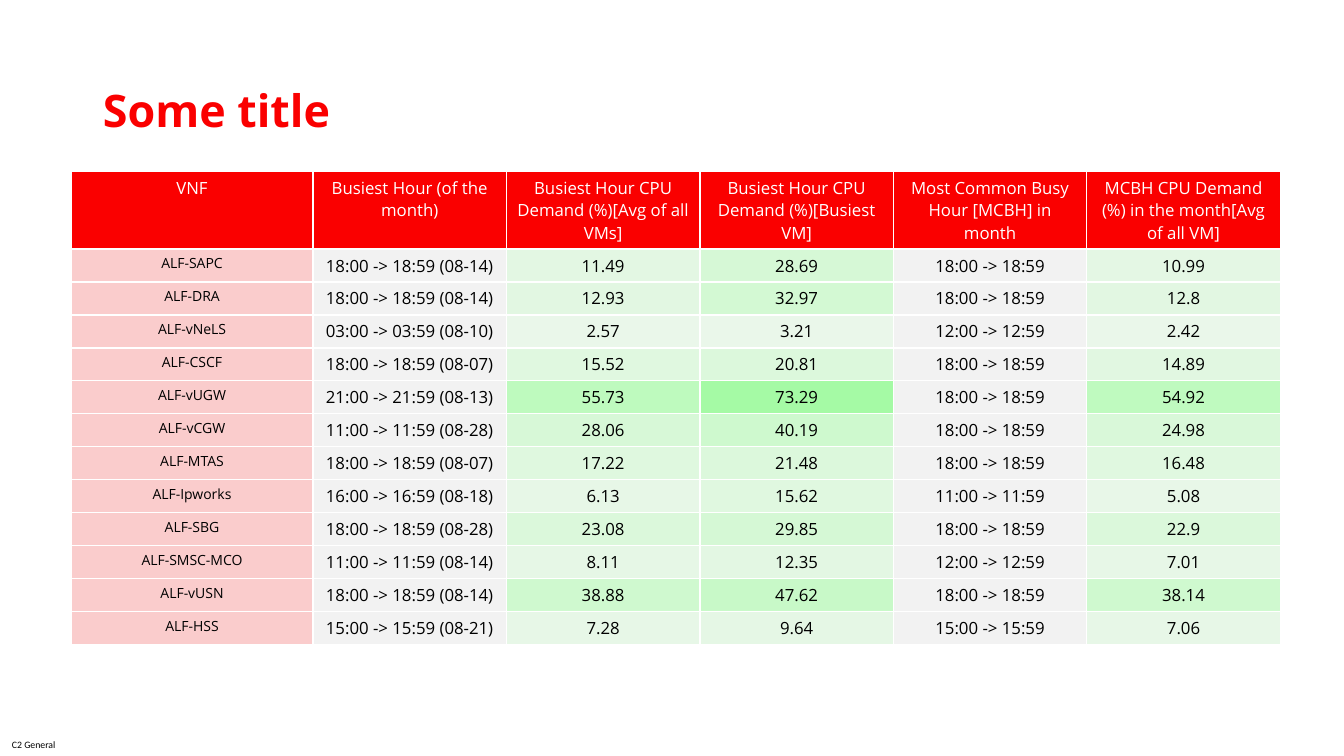
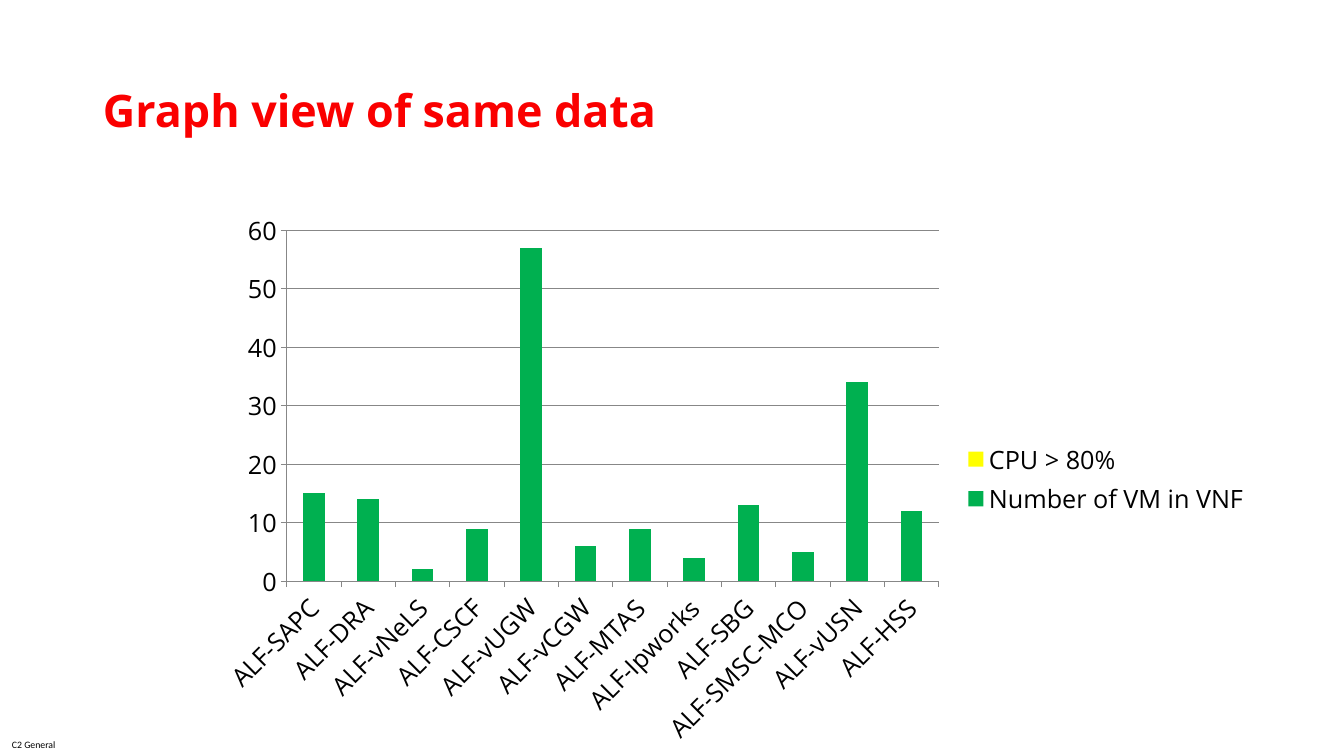
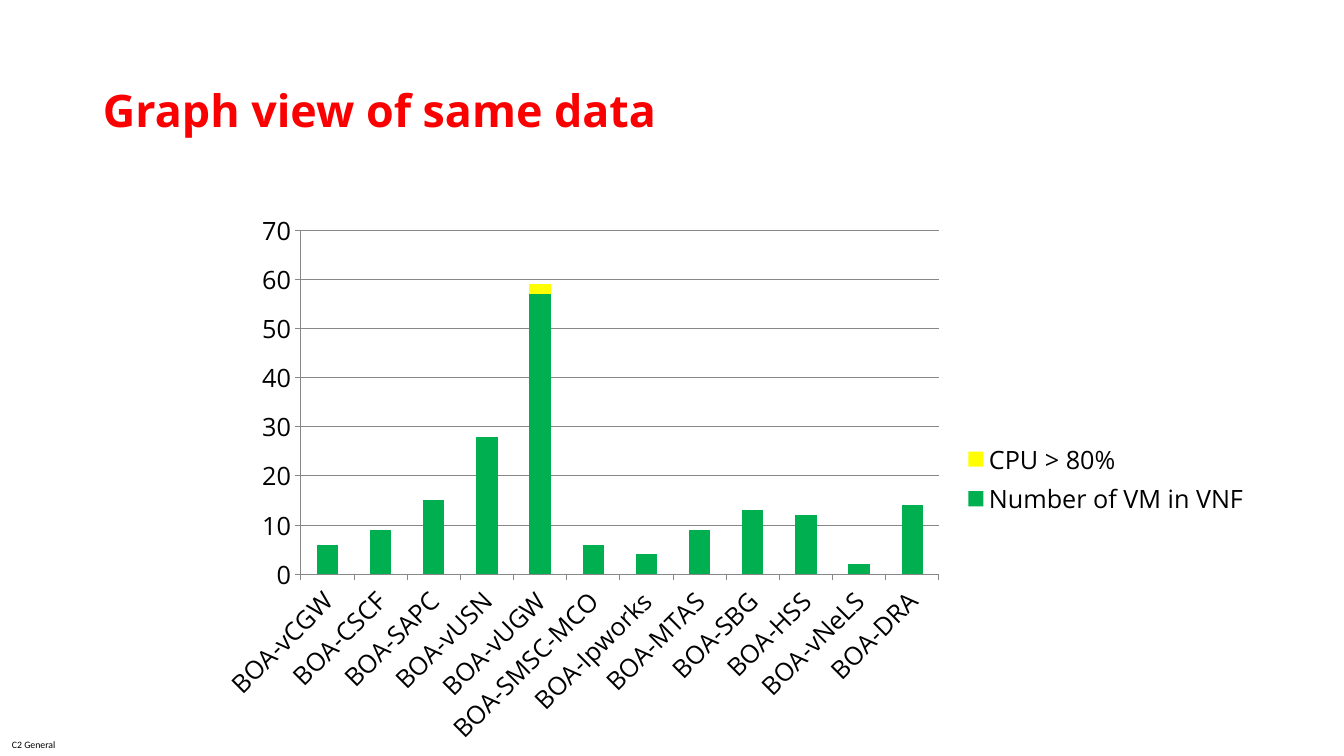
import pptx
import pptx.util
import pptx.dml.color
import pptx.enum.text
import pptx.enum.chart
import pptx.chart.data

PX = 914400 / 100.8
THEME = {
    "red": "FA0000", "white": "FFFFFF", "black": "000000", "pink": "FACCCC",
    "grey": "F2F2F2", "line": "878787", "green": "00B050", "yellow": "FFFF00",
    "font": "Open Sans", "footer_font": "Calibri",
    "title": 32, "chart": 18, "body": 12, "name": 10, "footer": 7,
}
rgb = pptx.dml.color.RGBColor.from_string
CENTER = pptx.enum.text.PP_ALIGN.CENTER


def px(*lengths):
    return [pptx.util.Emu(round(n * PX)) for n in lengths]


def write(tf, text, size, color, font=THEME["font"], bold=False, **layout):
    p = tf.paragraphs[0]
    for key, value in layout.items():
        setattr(p, key, value)
    r = p.add_run()
    r.text = text
    style = {"name": font, "size": pptx.util.Pt(THEME[size]), "bold": bold}
    for key, value in style.items():
        setattr(r.font, key, value)
    r.font.color.rgb = rgb(THEME[color])


headers = [
    "VNF", "Busiest Hour (of the month)",
    "Busiest Hour CPU Demand (%)[Avg of all VMs]",
    "Busiest Hour CPU Demand (%)[Busiest VM]",
    "Most Common Busy Hour [MCBH] in month",
    "MCBH CPU Demand (%) in the month[Avg of all VM]",
]
demand = [
    ("SAPC", "18:00 -> 18:59 (08-14)", 11.49, 28.69, "18:00 -> 18:59", 10.99),
    ("DRA", "18:00 -> 18:59 (08-14)", 12.93, 32.97, "18:00 -> 18:59", 12.8),
    ("vNeLS", "03:00 -> 03:59 (08-10)", 2.57, 3.21, "12:00 -> 12:59", 2.42),
    ("CSCF", "18:00 -> 18:59 (08-07)", 15.52, 20.81, "18:00 -> 18:59", 14.89),
    ("vUGW", "21:00 -> 21:59 (08-13)", 55.73, 73.29, "18:00 -> 18:59", 54.92),
    ("vCGW", "11:00 -> 11:59 (08-28)", 28.06, 40.19, "18:00 -> 18:59", 24.98),
    ("MTAS", "18:00 -> 18:59 (08-07)", 17.22, 21.48, "18:00 -> 18:59", 16.48),
    ("Ipworks", "16:00 -> 16:59 (08-18)", 6.13, 15.62, "11:00 -> 11:59", 5.08),
    ("SBG", "18:00 -> 18:59 (08-28)", 23.08, 29.85, "18:00 -> 18:59", 22.9),
    ("SMSC-MCO", "11:00 -> 11:59 (08-14)", 8.11, 12.35, "12:00 -> 12:59", 7.01),
    ("vUSN", "18:00 -> 18:59 (08-14)", 38.88, 47.62, "18:00 -> 18:59", 38.14),
    ("HSS", "15:00 -> 15:59 (08-21)", 7.28, 9.64, "15:00 -> 15:59", 7.06),
]
charts = [
    ("ALF", [row[0] for row in demand],
     [15, 14, 2, 9, 57, 6, 9, 4, 13, 5, 34, 12], [0] * 12),
    ("BOA", ["vCGW", "CSCF", "SAPC", "vUSN", "vUGW", "SMSC-MCO",
             "Ipworks", "MTAS", "SBG", "HSS", "vNeLS", "DRA"],
     [6, 9, 15, 28, 57, 6, 4, 9, 13, 12, 2, 14],
     [0, 0, 0, 0, 2, 0, 0, 0, 0, 0, 0, 0]),
]

prs = pptx.Presentation()
prs.slide_width, prs.slide_height = px(1344, 756)

slides = []
for title in ["Some title"] + ["Graph view of same data"] * len(charts):
    s = prs.slides.add_slide(prs.slide_layouts[6])
    slides.append(s)
    footer = s.shapes.add_textbox(*px(0, 733, 69, 23)).text_frame
    heading = s.shapes.add_textbox(*px(93, 40, 1159, 146)).text_frame
    for tf in (footer, heading):
        tf.vertical_anchor = pptx.enum.text.MSO_ANCHOR.MIDDLE
    heading.word_wrap = True
    for side, margin in zip(("left", "top", "right", "bottom"), px(12, 0, 0, 0)):
        setattr(footer, "margin_" + side, margin)
    write(footer, "C2 General", "footer", "black", THEME["footer_font"])
    write(heading, title, "title", "red", bold=True, line_spacing=0.9)

table = slides[0].shapes.add_table(
    len(demand) + 1, len(headers), *px(71, 171, 1210, 474)).table
table.horz_banding = False
for column, width in zip(table.columns, px(242, *[193.5] * 5)):
    column.width = width
for row, height in zip(table.rows, px(78, *[33] * len(demand))):
    row.height = height
for i, values in enumerate([headers] + demand):
    for j, value in enumerate(values):
        text, size, color, fill = str(value), "body", "black", THEME["grey"]
        if i == 0:
            color, fill = "white", THEME["red"]
        elif j == 0:
            text, size, fill = "ALF-" + value, "name", THEME["pink"]
        elif isinstance(value, float):
            pale = round(236 - 0.755 * value - 0.67 * max(0, value - 50))
            green = min(250, round(246.6 + value / 17))
            fill = f"{pale:02X}{green:02X}{pale:02X}"
        cell = table.cell(i, j)
        cell.fill.solid()
        cell.fill.fore_color.rgb = rgb(fill)
        write(cell.text_frame, text, size, color, alignment=CENTER)

for s, (site, names, machines, busy) in zip(slides[1:], charts):
    data = pptx.chart.data.CategoryChartData()
    data.categories = [f"{site}-{name}" for name in names]
    data.add_series("Number of VM in VNF", machines)
    data.add_series("CPU > 80%", busy)
    chart = s.shapes.add_chart(
        pptx.enum.chart.XL_CHART_TYPE.COLUMN_STACKED,
        *px(202, 202, 1058, 554), data).chart
    chart.has_title = False
    chart.has_legend = True
    chart.legend.position = pptx.enum.chart.XL_LEGEND_POSITION.RIGHT
    chart.legend.include_in_layout = False
    chart.font.name = THEME["font"]
    chart.font.size = pptx.util.Pt(THEME["chart"])
    chart.font.color.rgb = rgb(THEME["black"])
    plot = chart.plots[0]
    for key, value in {"gap_width": 150, "overlap": 100, "vary_by_categories": False}.items():
        setattr(plot, key, value)
    for series, color in zip(plot.series, ("green", "yellow")):
        series.format.fill.solid()
        series.format.fill.fore_color.rgb = rgb(THEME[color])
    chart.value_axis.has_major_gridlines = True
    for part in (chart.category_axis, chart.value_axis, chart.value_axis.major_gridlines):
        part.format.line.color.rgb = rgb(THEME["line"])
        part.format.line.width = pptx.util.Pt(0.75)

prs.save("out.pptx")
